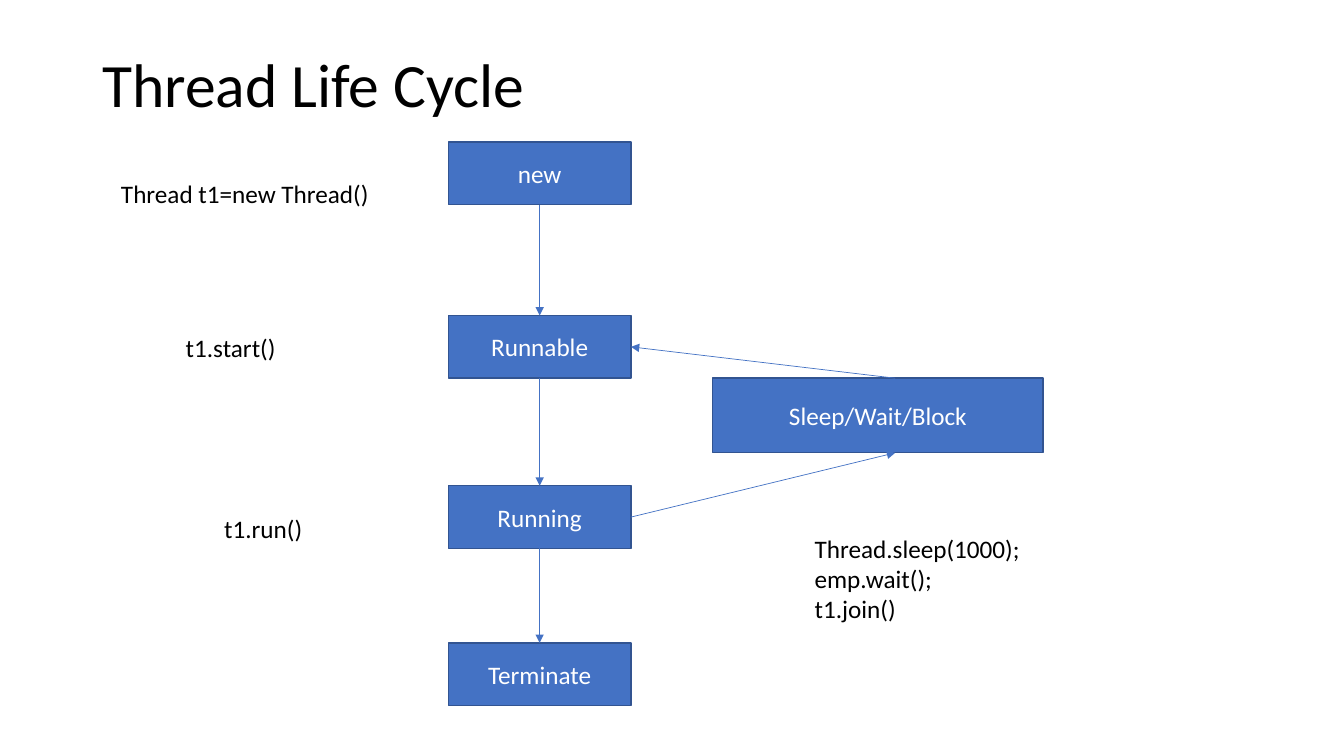
from pptx import Presentation
from pptx.dml.color import RGBColor
from pptx.enum.shapes import MSO_CONNECTOR, MSO_SHAPE
from pptx.enum.text import MSO_ANCHOR, MSO_AUTO_SIZE, PP_ALIGN
from pptx.oxml.ns import qn
from pptx.util import Cm, Pt
from lxml.etree import SubElement

THEME = {
    "state_fill": RGBColor(0x44, 0x72, 0xC4),
    "state_border": RGBColor(0x32, 0x54, 0x91),
    "border_width": Pt(1),
    "arrow_width": Pt(0.5),
    "title": {"name": "Calibri", "size": Pt(44), "color": RGBColor(0, 0, 0)},
    "code": {"name": "Calibri", "size": Pt(18), "color": RGBColor(0, 0, 0)},
    "state": {"name": "Calibri", "size": Pt(18), "color": RGBColor(255, 255, 255)},
}


def write(shape, text, style, frame_format, **paragraph_format):
    """Fill a shape with text, one paragraph per line, in a theme style."""
    frame = shape.text_frame
    frame.text = text
    for attribute, value in frame_format.items():
        setattr(frame, attribute, value)
    for paragraph in frame.paragraphs:
        for attribute, value in paragraph_format.items():
            setattr(paragraph, attribute, value)
        for run in paragraph.runs:
            for attribute, value in THEME[style].items():
                if attribute == "color":
                    run.font.color.rgb = value
                else:
                    setattr(run.font, attribute, value)


presentation = Presentation()
presentation.slide_width = Cm(33.87)
presentation.slide_height = Cm(19.05)
slide = presentation.slides.add_slide(presentation.slide_layouts[6])
shapes = slide.shapes

# Title
title = shapes.add_textbox(Cm(2.33), Cm(1.01), Cm(29.21), Cm(2.39))
write(title, "Thread Life Cycle", "title",
      {"word_wrap": True, "vertical_anchor": MSO_ANCHOR.MIDDLE}, line_spacing=0.9)

# Thread states: one column for the main path, one box beside it
column_left, state_width, state_height = 11.3, 4.6, 1.58
state_boxes = [
    ("new", column_left, 3.58, state_width, state_height),
    ("Runnable", column_left, 7.95, state_width, state_height),
    ("Running", column_left, 12.24, state_width, state_height),
    ("Terminate", column_left, 16.2, state_width, state_height),
    ("Sleep/Wait/Block", 17.96, 9.53, 8.33, 1.88),
]
for label, left, top, width, height in state_boxes:
    state = shapes.add_shape(MSO_SHAPE.RECTANGLE, Cm(left), Cm(top), Cm(width), Cm(height))
    state.shadow.inherit = False
    state.fill.solid()
    state.fill.fore_color.rgb = THEME["state_fill"]
    state.line.color.rgb = THEME["state_border"]
    state.line.width = THEME["border_width"]
    write(state, label, "state",
          {"word_wrap": True, "vertical_anchor": MSO_ANCHOR.MIDDLE},
          alignment=PP_ALIGN.CENTER)

# Transitions: down the column, then out to the waiting state and back
column_center = column_left + state_width / 2
column_right = column_left + state_width
column_tops = [top for _, _, top, _, _ in state_boxes[:4]]
transitions = [
    (column_center, upper + state_height, column_center, lower)
    for upper, lower in zip(column_tops, column_tops[1:])
]
runnable_middle, running_middle = (top + state_height / 2 for top in column_tops[1:3])
_, _, waiting_top, _, waiting_height = state_boxes[4]
waiting_joint = 22.56
transitions += [
    (column_right, running_middle, waiting_joint, waiting_top + waiting_height),
    (waiting_joint, waiting_top, column_right, runnable_middle),
]
for ends in transitions:
    transition = shapes.add_connector(MSO_CONNECTOR.STRAIGHT, *(Cm(end) for end in ends))
    transition.line.color.rgb = THEME["state_fill"]
    transition.line.width = THEME["arrow_width"]
    SubElement(transition.line._get_or_add_ln(), qn("a:tailEnd"), type="triangle")
    SubElement(transition._element.spPr, qn("a:effectLst"))

# Code that triggers each state
code_notes = [
    ("Thread t1=new Thread()", 2.8, 4.38, 6.83, 1.03),
    ("t1.start()", 4.43, 8.24, 2.8, 1.03),
    ("t1.run()", 5.4, 12.8, 2.51, 1.03),
    ("Thread.sleep(1000);\nemp.wait();\nt1.join()", 20.28, 13.31, 5.74, 2.56),
]
for code, *box in code_notes:
    note = shapes.add_textbox(*(Cm(length) for length in box))
    write(note, code, "code",
          {"word_wrap": False, "auto_size": MSO_AUTO_SIZE.SHAPE_TO_FIT_TEXT})

presentation.save("out.pptx")
